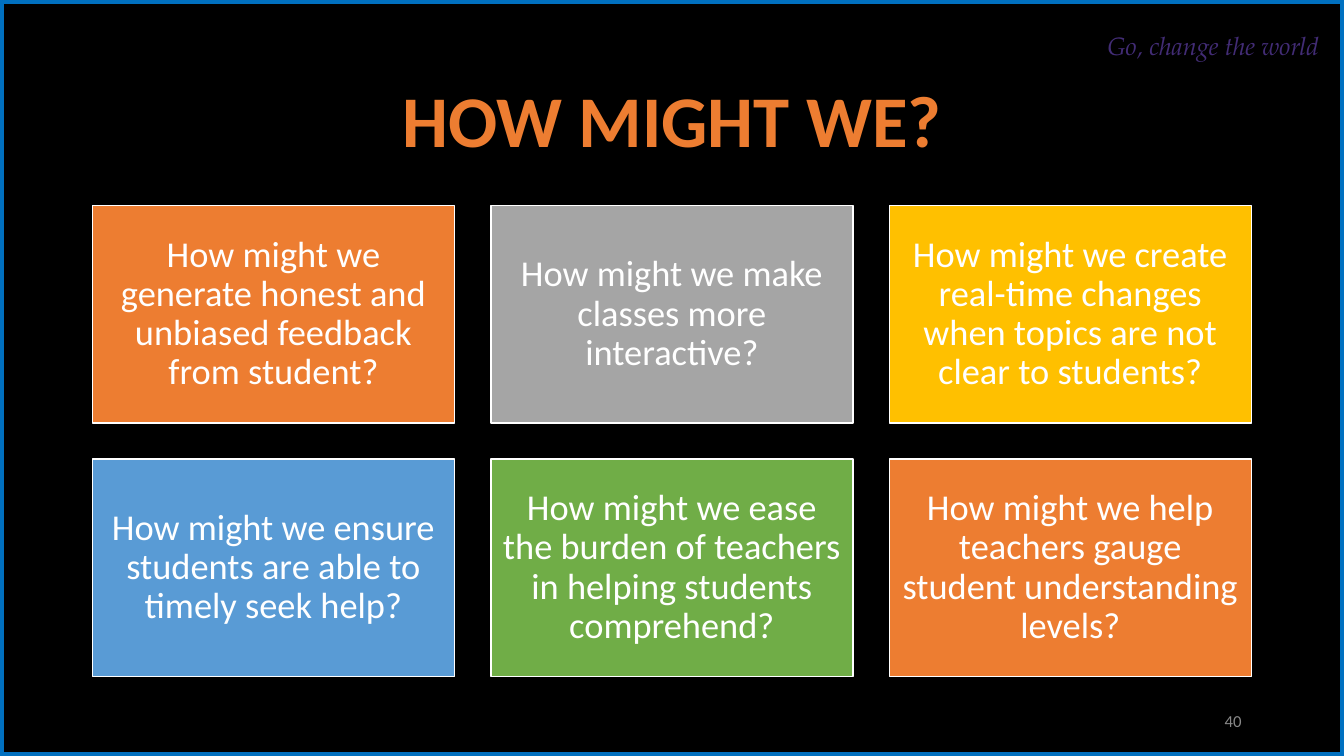
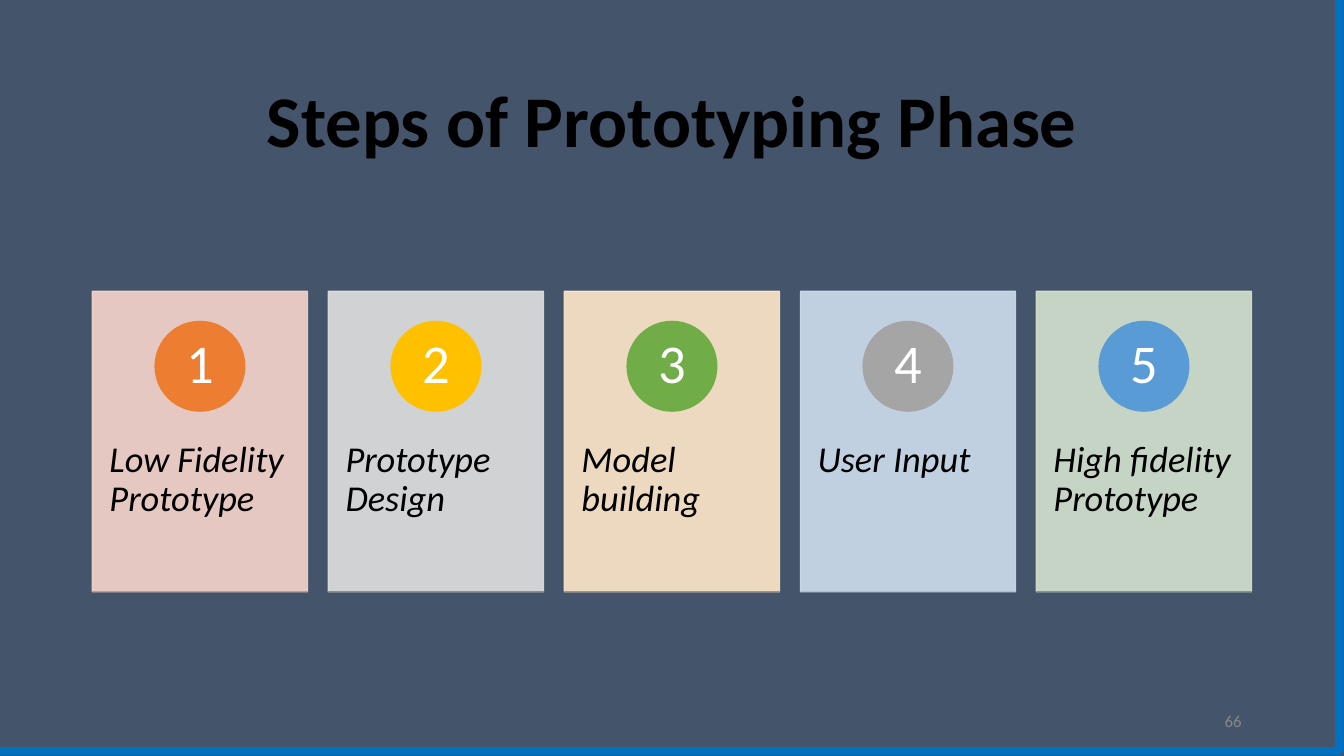
from dataclasses import dataclass

import lxml.etree
import pptx
import pptx.dml.color
import pptx.dml.fill
import pptx.enum.dml
import pptx.enum.shapes
import pptx.enum.text
import pptx.oxml.ns
import pptx.presentation
import pptx.shapes.autoshape
import pptx.shapes.base
import pptx.slide
import pptx.util

Cm = pptx.util.Cm
Pt = pptx.util.Pt
ShapeType = pptx.enum.shapes.MSO_SHAPE
Align = pptx.enum.text.PP_ALIGN
Anchor = pptx.enum.text.MSO_ANCHOR

SLIDE_WIDTH, SLIDE_HEIGHT = 33.87, 19.05
MARGIN, CONTENT_WIDTH = 2.33, 29.21
TITLE_ONLY_LAYOUT = 5
BODY_FONT = "Calibri"
MOTTO_FONT = "TeX Gyre Pagella"
BLACK, WHITE = "000000", "FFFFFF"
ORANGE, GREY, YELLOW = "ED7D31", "A5A5A5", "FFC000"
BLUE, GREEN = "599BD5", "70AD47"
SLATE, FRAME_BLUE, NUMBER_GREY, MOTTO_PURPLE = "44546A", "0070C0", "888888", "422C75"


@dataclass(frozen=True)
class Box:
    left: float
    top: float
    width: float
    height: float

    def lengths(self) -> tuple[pptx.util.Length, ...]:
        return Cm(self.left), Cm(self.top), Cm(self.width), Cm(self.height)


@dataclass(frozen=True)
class Question:
    text: str
    color: str


@dataclass(frozen=True)
class Step:
    label: str
    card_color: str
    circle_color: str
    base_color: str


QUESTIONS = [
    Question("How might we generate honest and unbiased feedback from student?", ORANGE),
    Question("How might we make classes more interactive?", GREY),
    Question("How might we create real-time changes when topics are not clear to students?", YELLOW),
    Question("How might we ensure students are able to timely seek help?", BLUE),
    Question("How might we ease the burden of teachers in helping students comprehend?", GREEN),
    Question("How might we help teachers gauge student understanding levels?", ORANGE),
]

STEPS = [
    Step("Low Fidelity Prototype", "F7D5CB", ORANGE, GREY),
    Step("Prototype Design", "E0E0E0", YELLOW, BLUE),
    Step("Model building", "FFE8CA", GREEN, ORANGE),
    Step("User Input", "CFDEEF", GREY, YELLOW),
    Step("High fidelity Prototype", "D4E2CE", BLUE, GREEN),
]


def set_color(fill: pptx.dml.fill.FillFormat, color: str, opacity: int = 100) -> None:
    fill.solid()
    fill.fore_color.rgb = pptx.dml.color.RGBColor.from_string(color)
    if opacity < 100:
        element = fill._xPr.find(".//" + pptx.oxml.ns.qn("a:srgbClr"))
        alpha = lxml.etree.SubElement(element, pptx.oxml.ns.qn("a:alpha"))
        alpha.set("val", str(opacity * 1000))


def write_text(
    shape: pptx.shapes.base.BaseShape,
    text: str,
    *,
    size: float,
    color: str,
    font: str = BODY_FONT,
    bold: bool = False,
    italic: bool = False,
    align: Align = Align.LEFT,
    anchor: Anchor = Anchor.TOP,
    insets: tuple[float, float] = (0.25, 0.13),
    line_spacing: float = 0.9,
) -> None:
    frame = shape.text_frame
    frame.word_wrap = True
    frame.auto_size = pptx.enum.text.MSO_AUTO_SIZE.NONE
    frame.vertical_anchor = anchor
    frame.margin_left = frame.margin_right = Cm(insets[0])
    frame.margin_top = frame.margin_bottom = Cm(insets[1])
    paragraph = frame.paragraphs[0]
    paragraph.alignment = align
    paragraph.line_spacing = line_spacing
    run = paragraph.add_run()
    run.text = text
    run.font.name = font
    run.font.size = Pt(size)
    run.font.bold = bold
    run.font.italic = italic
    set_color(run.font.fill, color)


def add_text(slide: pptx.slide.Slide, box: Box, text: str, **text_format) -> None:
    write_text(slide.shapes.add_textbox(*box.lengths()), text, **text_format)


def add_panel(
    slide: pptx.slide.Slide,
    kind: ShapeType,
    box: Box,
    *,
    fill: str | None,
    line: str,
    line_width: float = 1,
    opacity: int = 100,
) -> pptx.shapes.autoshape.Shape:
    shape = slide.shapes.add_shape(kind, *box.lengths())
    shape.shadow.inherit = False
    if fill is None:
        shape.fill.background()
    else:
        set_color(shape.fill, fill, opacity)
    set_color(shape.line.fill, line, opacity)
    shape.line.width = Pt(line_width)
    return shape


def add_base_line(slide: pptx.slide.Slide, left: float, top: float, width: float, color: str) -> None:
    connector = slide.shapes.add_connector(
        pptx.enum.shapes.MSO_CONNECTOR.STRAIGHT, Cm(left), Cm(top), Cm(left + width), Cm(top)
    )
    set_color(connector.line.fill, color)
    connector.line.width = Pt(1)
    lxml.etree.SubElement(connector._element.spPr, pptx.oxml.ns.qn("a:effectLst"))


def add_titled_slide(
    presentation: pptx.presentation.Presentation, title: str, title_color: str, background: str
) -> pptx.slide.Slide:
    slide = presentation.slides.add_slide(presentation.slide_layouts[TITLE_ONLY_LAYOUT])
    set_color(slide.background.fill, background)
    shape = slide.shapes.title
    shape.left, shape.top, shape.width, shape.height = Box(MARGIN, 1.55, CONTENT_WIDTH, 3.15).lengths()
    write_text(
        shape, title, size=52, color=title_color, bold=True, align=Align.CENTER, anchor=Anchor.MIDDLE
    )
    return slide


def add_frame_and_number(slide: pptx.slide.Slide, number: int, frame_offset: float = 0) -> None:
    frame = Box(frame_offset, frame_offset, SLIDE_WIDTH, SLIDE_HEIGHT)
    add_panel(slide, ShapeType.RECTANGLE, frame, fill=None, line=FRAME_BLUE, line_width=6)
    add_text(
        slide,
        Box(23.92, 17.66, 7.62, 1.01),
        str(number),
        size=12,
        color=NUMBER_GREY,
        align=Align.RIGHT,
        anchor=Anchor.MIDDLE,
        line_spacing=1.0,
    )


def add_question(slide: pptx.slide.Slide, index: int, question: Question) -> None:
    columns, width, height, gap = 3, 9.13, 5.48, 0.91
    row, column = divmod(index, columns)
    box = Box(MARGIN + column * (width + gap), 5.18 + row * (height + gap), width, height)
    card = add_panel(slide, ShapeType.RECTANGLE, box, fill=question.color, line=WHITE)
    write_text(
        card,
        question.text,
        size=26,
        color=WHITE,
        align=Align.CENTER,
        anchor=Anchor.MIDDLE,
        insets=(0.28, 0.28),
    )


def add_step(slide: pptx.slide.Slide, index: int, step: Step) -> None:
    width, top, height, diameter = 5.42, 7.34, 7.57, 2.26
    left = MARGIN + index * (CONTENT_WIDTH - width) / (len(STEPS) - 1)
    add_panel(
        slide,
        ShapeType.RECTANGLE,
        Box(left, top, width, height),
        fill=step.card_color,
        line=step.card_color,
        opacity=90,
    )
    add_text(
        slide,
        Box(left, 10.21, width, 4.55),
        step.label,
        size=26,
        color=BLACK,
        italic=True,
        insets=(0.43, 0.91),
    )
    circle = add_panel(
        slide,
        ShapeType.OVAL,
        Box(left + (width - diameter) / 2, 8.1, diameter, diameter),
        fill=step.circle_color,
        line=step.circle_color,
    )
    write_text(
        circle,
        str(index + 1),
        size=39,
        color=WHITE,
        align=Align.CENTER,
        anchor=Anchor.MIDDLE,
        insets=(0.18, 0.03),
    )
    add_base_line(slide, left, top + height, width, step.base_color)


def build_questions_slide(presentation: pptx.presentation.Presentation) -> None:
    slide = add_titled_slide(presentation, "HOW MIGHT WE?", ORANGE, BLACK)
    for index, question in enumerate(QUESTIONS):
        add_question(slide, index, question)
    add_text(
        slide,
        Box(27.66, 0.64, 6.81, 1.02),
        "Go, change the world",
        size=18,
        color=MOTTO_PURPLE,
        font=MOTTO_FONT,
        italic=True,
        line_spacing=1.0,
    )
    add_frame_and_number(slide, 40)


def build_steps_slide(presentation: pptx.presentation.Presentation) -> None:
    slide = add_titled_slide(presentation, "Steps of Prototyping Phase", BLACK, SLATE)
    for index, step in enumerate(STEPS):
        add_step(slide, index, step)
    add_frame_and_number(slide, 66, frame_offset=-0.13)


def main() -> None:
    presentation = pptx.Presentation()
    presentation.slide_width = Cm(SLIDE_WIDTH)
    presentation.slide_height = Cm(SLIDE_HEIGHT)
    build_questions_slide(presentation)
    build_steps_slide(presentation)
    presentation.save("out.pptx")


if __name__ == "__main__":
    main()
